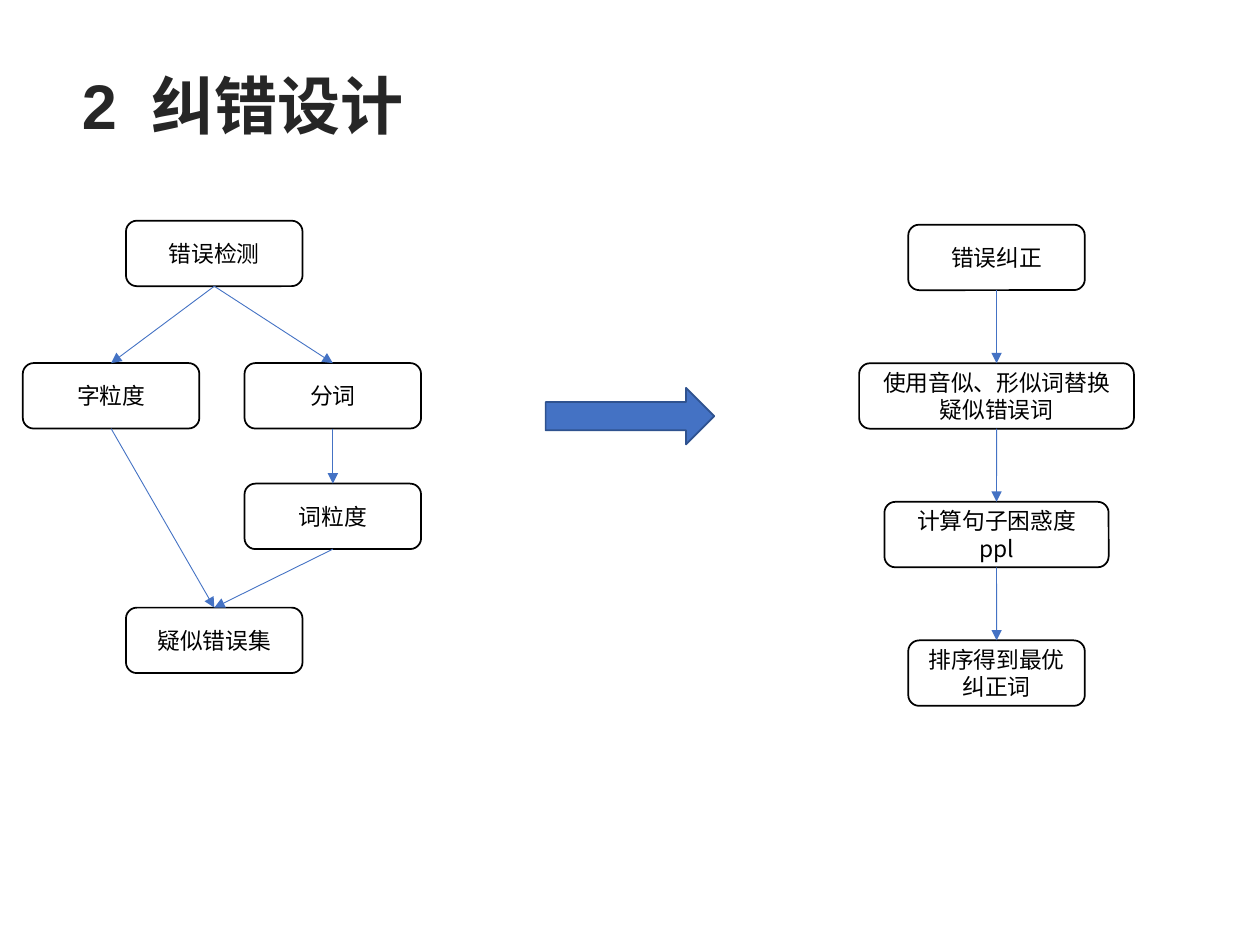
from dataclasses import dataclass

from lxml.etree import SubElement
from pptx import Presentation
from pptx.dml.color import RGBColor
from pptx.enum.shapes import MSO_CONNECTOR, MSO_SHAPE
from pptx.enum.text import MSO_ANCHOR, PP_ALIGN
from pptx.oxml.ns import qn
from pptx.util import Cm, Pt


@dataclass(frozen=True)
class Theme:
    ink: RGBColor = RGBColor(0x00, 0x00, 0x00)
    paper: RGBColor = RGBColor(0xFF, 0xFF, 0xFF)
    title: RGBColor = RGBColor(0x26, 0x26, 0x26)
    accent: RGBColor = RGBColor(0x44, 0x72, 0xC4)
    accent_dark: RGBColor = RGBColor(0x2F, 0x52, 0x8F)
    cjk: str = "Noto Sans CJK SC"
    latin: str = "Arial"
    title_size: Pt = Pt(36)
    node_size: Pt = Pt(13)


THEME = Theme()
NODE_W, NODE_H = 3.56, 1.32
TOP, BOTTOM = 0, 2


def style_run(r, size, color, latin, bold=False):
    r.font.size, r.font.bold, r.font.name = size, bold, latin
    r.font.color.rgb = color
    SubElement(r.font._element, qn("a:ea"), typeface=THEME.cjk)


def add_block(s, kind, left, top, width, height, fill, line):
    sp = s.shapes.add_shape(kind, Cm(left), Cm(top), Cm(width), Cm(height))
    sp.shadow.inherit = False
    sp.fill.solid()
    sp.fill.fore_color.rgb = fill
    sp.line.color.rgb = line
    sp.line.width = Pt(1)
    return sp


def add_node(s, text, center, top, width=NODE_W):
    sp = add_block(s, MSO_SHAPE.ROUNDED_RECTANGLE, center - width / 2, top,
                   width, NODE_H, THEME.paper, THEME.ink)
    tf = sp.text_frame
    tf.text, tf.word_wrap = text, True
    tf.vertical_anchor = MSO_ANCHOR.MIDDLE
    p = tf.paragraphs[0]
    p.alignment = PP_ALIGN.CENTER
    style_run(p.runs[0], THEME.node_size, THEME.ink, THEME.cjk)
    return sp


def link(s, upper, lower):
    """Arrow from the bottom of one node to the top of another."""
    cx = s.shapes.add_connector(MSO_CONNECTOR.STRAIGHT, 0, 0, 0, 0)
    cx.begin_connect(upper, BOTTOM)
    cx.end_connect(lower, TOP)
    cx.line.color.rgb = THEME.accent
    cx.line.width = Pt(0.5)
    SubElement(cx.line._get_or_add_ln(), qn("a:tailEnd"), type="triangle")
    SubElement(cx._element.spPr, qn("a:effectLst"))


def add_title(s, left, top, width, height):
    box = s.shapes.add_textbox(Cm(left), Cm(top), Cm(width), Cm(height))
    tf = box.text_frame
    tf.word_wrap = True
    p = tf.paragraphs[0]
    for text in ("2", " ", "纠错设计"):
        r = p.add_run()
        r.text = text
        style_run(r, THEME.title_size, THEME.title, THEME.latin, bold=True)
    # Widen the gap after the section number
    p.runs[1].font._element.set("spc", "1000")


def add_detection(s, left, top, width):
    """Branching flow: two granularities that merge into one set."""
    first, last = left + NODE_W / 2, left + width - NODE_W / 2
    middle = left + 3.86
    detect = add_node(s, "错误检测", middle, top)
    chars = add_node(s, "字粒度", first, top + 2.87)
    split = add_node(s, "分词", last, top + 2.87)
    words = add_node(s, "词粒度", last, top + 5.3)
    suspects = add_node(s, "疑似错误集", middle, top + 7.8)
    for pair in ((detect, chars), (detect, split), (split, words),
                 (chars, suspects), (words, suspects)):
        link(s, *pair)


def add_correction(s, left, top, width, height):
    """Straight flow of evenly spaced steps on one axis."""
    steps = (("错误纠正", NODE_W), ("使用音似、形似词替换疑似错误词", width),
             ("计算句子困惑度ppl", 4.52), ("排序得到最优纠正词", NODE_W))
    pitch = (height - NODE_H) / (len(steps) - 1)
    nodes = [add_node(s, text, left + width / 2, top + i * pitch, w)
             for i, (text, w) in enumerate(steps)]
    for upper, lower in zip(nodes, nodes[1:]):
        link(s, upper, lower)


def main():
    prs = Presentation()
    prs.slide_width, prs.slide_height = Cm(25.4), Cm(19.05)
    s = prs.slides.add_slide(prs.slide_layouts[6])
    add_title(s, 1.4, 1.22, 22.6, 1.22)
    add_detection(s, 0.46, 4.45, 8.03)
    add_block(s, MSO_SHAPE.RIGHT_ARROW, 11, 7.82, 3.4, 1.14,
              THEME.accent, THEME.accent_dark)
    add_correction(s, 17.32, 4.53, 5.54, 9.7)
    prs.save("out.pptx")


if __name__ == "__main__":
    main()
